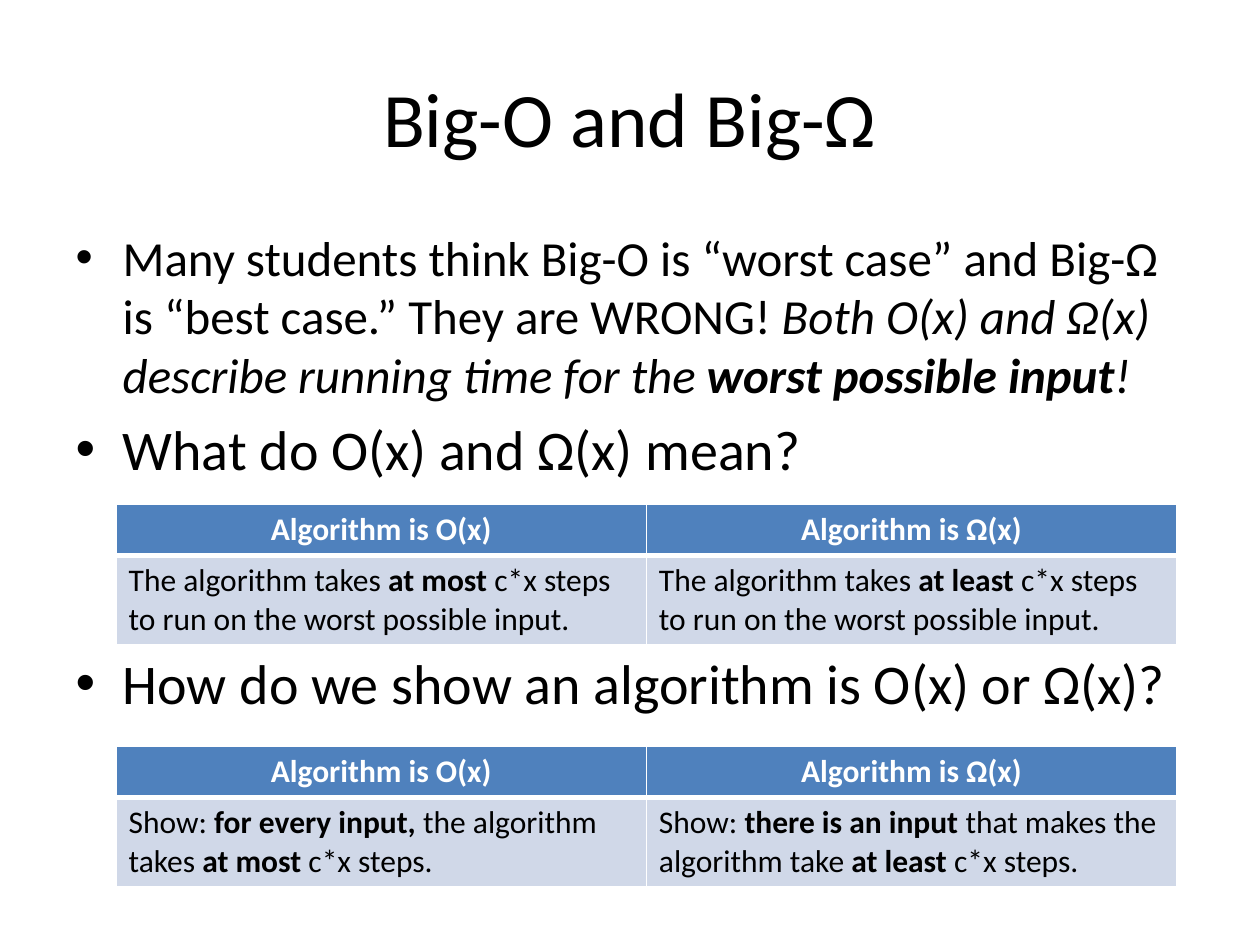
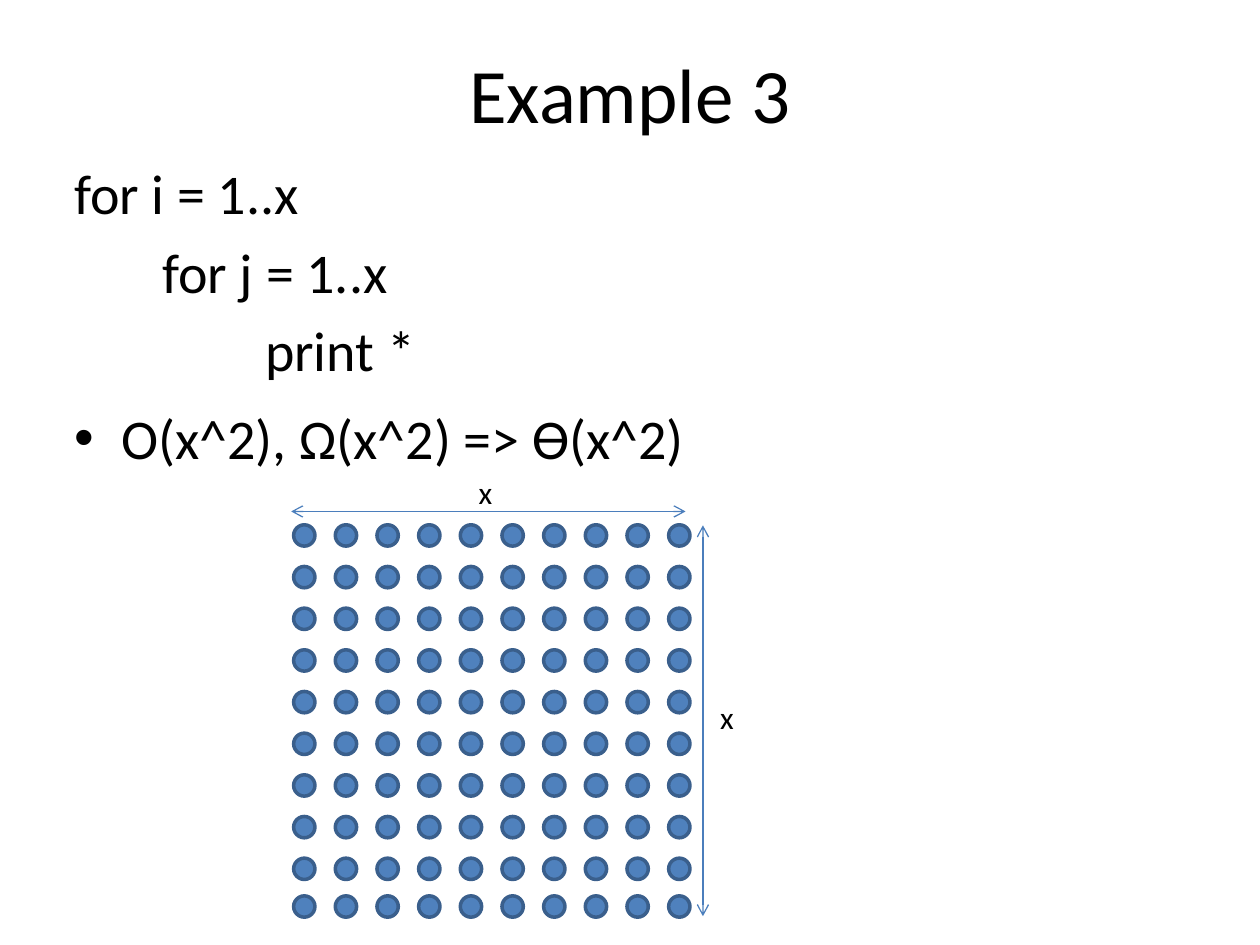
from lxml import etree
from pptx import Presentation
from pptx.dml.color import RGBColor
from pptx.enum.shapes import MSO_CONNECTOR, MSO_SHAPE
from pptx.enum.text import MSO_ANCHOR, MSO_AUTO_SIZE, PP_ALIGN
from pptx.oxml.ns import qn
from pptx.util import Cm, Pt

CENTER = PP_ALIGN.CENTER
MIDDLE = MSO_ANCHOR.MIDDLE
NO_FIT = MSO_AUTO_SIZE.NONE
OVAL = MSO_SHAPE.OVAL
STRAIGHT = MSO_CONNECTOR.STRAIGHT

FONT = "Calibri"
COLORS = {
    "text": "000000",
    "white": "FFFFFF",
    "blue": "4F81BD",
    "pale": "D0D8E8",
    "outline": "3A5F8C",
    "arrow": "4B7EBC",
}
TITLE_SIZE, LIST_SIZE, SMALL_SIZE = 44, 32, 18
BULLET_INDENT = 0.95

NOTATION = {
    "title": "Big-O and Big-Ω",
    "title_box": (1.27, 0.76, 22.86, 3.18),
    "body_box": (1.27, 4.45, 22.86, 13.77),
    "body": [
        {"size": 28, "spans": [
            ("Many students think Big-O is “worst case” and Big-Ω is “best case.” They are WRONG! ", ""),
            ("Both O(x) and Ω(x) describe running time for the ", "i"),
            ("worst possible input", "bi"),
            ("!", "i"),
        ]},
        {"spans": [("What do O(x) and Ω(x) mean?", "")]},
        {"before": 95, "spans": [("How do we show an algorithm is O(x) or Ω(x)?", "")]},
    ],
}
EXAMPLE = {
    "title": "Example 3",
    "title_box": (1.27, 0.76, 22.86, 2.21),
    "body_box": (1.24, 3.07, 22.86, 12.57),
    "body": [
        {"indent": 0, "spans": [("for i = 1..x", "")]},
        {"indent": 1.78, "spans": [("for j = 1..x", "")]},
        {"indent": 3.85, "spans": [("print *", "")]},
        {"before": 12, "spans": [("O(x^2), Ω(x^2) => ϴ(x^2)", "")]},
    ],
}

TABLE_HEADER = ["Algorithm is O(x)", "Algorithm is Ω(x)"]
TABLES = [
    (10.16, [
        [("The algorithm takes ", ""), ("at most ", "b"),
         ("c*x steps to run on the worst possible input.", "")],
        [("The algorithm takes ", ""), ("at least ", "b"),
         ("c*x steps to run on the worst possible input.", "")],
    ]),
    (15.04, [
        [("Show: ", ""), ("for every input,", "b"), (" the algorithm takes ", ""),
         ("at most", "b"), (" c*x steps.", "")],
        [("Show: ", ""), ("there is an input ", "b"), ("that makes the algorithm take ", ""),
         ("at least", "b"), (" c*x steps.", "")],
    ]),
]
TABLE_LEFT, COLUMN_WIDTH = 2.34, 10.69
ROW_HEIGHTS = [1.04, 1.78]

DOT_SIZE, DOT_PITCH = 0.43, 0.84
DOT_LEFTS = [5.92 + DOT_PITCH * column for column in range(10)]
DOT_TOPS = [10.58 + DOT_PITCH * row for row in range(9)] + [18.06]
ARROWS = [(5.87, 10.31, 13.82, 10.31), (14.17, 10.59, 14.17, 18.47)]
AXIS_LABELS = [("x", 9.4, 9.42), ("x", 14.27, 13.94)]


def color(name):
    return RGBColor.from_string(COLORS[name])


def place(shape, box):
    shape.left, shape.top, shape.width, shape.height = [Cm(value) for value in box]


def add_spans(para, spans, size, tint="text"):
    for text, style in spans:
        span = para.add_run()
        span.text = text
        span.font.name = FONT
        span.font.size = Pt(size)
        span.font.bold = "b" in style
        span.font.italic = "i" in style
        span.font.color.rgb = color(tint)


def fill_list(frame, items):
    frame.auto_size = NO_FIT
    for index, item in enumerate(items):
        para = frame.add_paragraph() if index else frame.paragraphs[0]
        size = item.get("size", LIST_SIZE)
        para.space_before = Pt(item.get("before", size * 0.2))
        add_spans(para, item["spans"], size)
        plain = "indent" in item
        properties = para._p.get_or_add_pPr()
        properties.set("marL", str(Cm(item.get("indent", BULLET_INDENT))))
        properties.set("indent", str(0 if plain else -Cm(BULLET_INDENT)))
        if plain:
            etree.SubElement(properties, qn("a:buNone"))


def add_page(deck, content):
    page = deck.slides.add_slide(deck.slide_layouts[1])
    title, body = page.shapes.title, page.placeholders[1]
    place(title, content["title_box"])
    title.text_frame.auto_size = NO_FIT
    title.text_frame.vertical_anchor = MIDDLE
    para = title.text_frame.paragraphs[0]
    para.alignment = CENTER
    add_spans(para, [(content["title"], "")], TITLE_SIZE)
    place(body, content["body_box"])
    fill_list(body.text_frame, content["body"])
    return page


def set_borders(cell, widths):
    properties = cell._tc.get_or_add_tcPr()
    for side, width in widths.items():
        line = etree.SubElement(properties, qn("a:ln" + side), w=str(Pt(width)))
        solid = etree.SubElement(line, qn("a:solidFill"))
        etree.SubElement(solid, qn("a:srgbClr"), val=COLORS["white"])


def fill_cell(cell, spans, header):
    set_borders(cell, {"L": 1, "R": 1, "T": 1 if header else 3, "B": 3 if header else 1})
    cell.fill.solid()
    cell.fill.fore_color.rgb = color("blue" if header else "pale")
    para = cell.text_frame.paragraphs[0]
    if header:
        para.alignment = CENTER
    add_spans(para, spans, SMALL_SIZE, "white" if header else "text")


def add_comparison(page, top, answers):
    frame = page.shapes.add_table(2, 2, Cm(TABLE_LEFT), Cm(top),
                                  Cm(2 * COLUMN_WIDTH), Cm(sum(ROW_HEIGHTS)))
    table = frame.table
    for row, height in zip(table.rows, ROW_HEIGHTS):
        row.height = Cm(height)
    for index, (heading, answer) in enumerate(zip(TABLE_HEADER, answers)):
        table.columns[index].width = Cm(COLUMN_WIDTH)
        fill_cell(table.cell(0, index), [(heading, "b")], True)
        fill_cell(table.cell(1, index), answer, False)


def add_dot(page, left, top):
    dot = page.shapes.add_shape(OVAL, Cm(left), Cm(top), Cm(DOT_SIZE), Cm(DOT_SIZE))
    dot.shadow.inherit = False
    dot.fill.solid()
    dot.fill.fore_color.rgb = color("blue")
    dot.line.color.rgb = color("outline")
    dot.line.width = Pt(2)


def add_arrow(page, ends):
    arrow = page.shapes.add_connector(STRAIGHT, *[Cm(value) for value in ends])
    arrow.line.color.rgb = color("arrow")
    arrow.line.width = Pt(0.75)
    line = arrow.line._get_or_add_ln()
    for end in ("a:headEnd", "a:tailEnd"):
        etree.SubElement(line, qn(end), type="arrow")
    etree.SubElement(arrow._element.spPr, qn("a:effectLst"))


def add_label(page, text, left, top):
    box = page.shapes.add_textbox(Cm(left), Cm(top), Cm(0.79), Cm(1.02))
    box.text_frame.word_wrap = False
    add_spans(box.text_frame.paragraphs[0], [(text, "")], SMALL_SIZE)


deck = Presentation()
deck.slide_width, deck.slide_height = Cm(25.4), Cm(19.05)

notation_page = add_page(deck, NOTATION)
for top, answers in TABLES:
    add_comparison(notation_page, top, answers)

example_page = add_page(deck, EXAMPLE)
for top in DOT_TOPS:
    for left in DOT_LEFTS:
        add_dot(example_page, left, top)
for ends in ARROWS:
    add_arrow(example_page, ends)
for label in AXIS_LABELS:
    add_label(example_page, *label)

deck.save("out.pptx")
